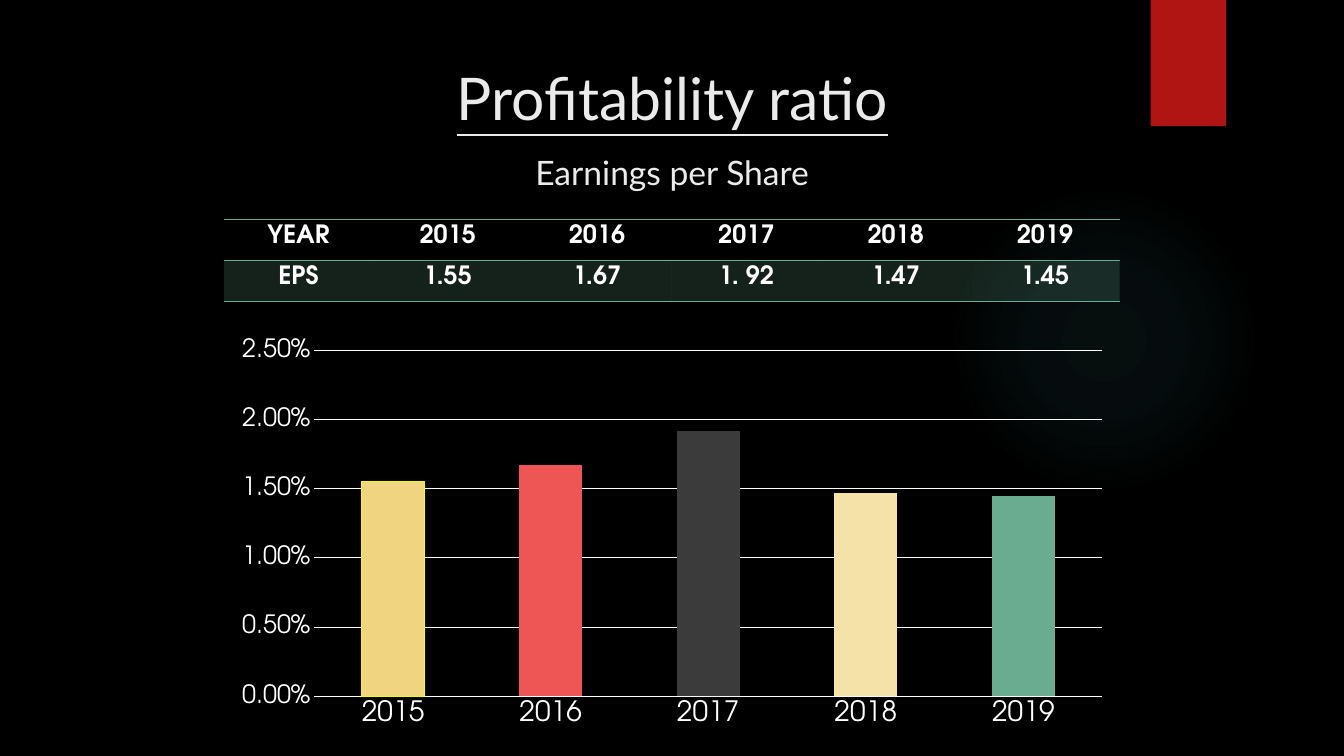
from lxml import etree
from pptx import Presentation
from pptx.chart.data import CategoryChartData
from pptx.dml.color import RGBColor
from pptx.enum.chart import XL_CHART_TYPE, XL_TICK_MARK
from pptx.enum.shapes import MSO_SHAPE
from pptx.enum.text import MSO_ANCHOR, PP_ALIGN
from pptx.oxml import parse_xml
from pptx.oxml.ns import nsdecls, qn
from pptx.util import Cm, Pt

COLUMN = XL_CHART_TYPE.COLUMN_STACKED
NO_TICK = XL_TICK_MARK.NONE
RECT, OVAL = MSO_SHAPE.RECTANGLE, MSO_SHAPE.OVAL
TOP, CENTER = MSO_ANCHOR.TOP, PP_ALIGN.CENTER
PLAIN_TABLE = "{2D5ABB26-0587-4C30-8999-92F81FD0307C}"

TITLE = "Profitability ratio"
SUBTITLE = "Earnings per Share"
YEARS = ["2015", "2016", "2017", "2018", "2019"]
ROWS = [["YEAR", *YEARS],
        ["EPS", "1.55", "1.67", "1. 92", "1.47", "1.45"]]
SERIES = {"Series 1": [0.0155, 0.0167, 0.0192, 0.0147, 0.0145],
          "Series 2": [None] * len(YEARS),
          "Series 3": [None] * len(YEARS)}

THEME = {
    "back": "000000", "title": "EBEBEB", "text": "FFFFFF",
    "tab": "B01513", "accent": "6AAC90", "outline": "FFFF00",
    "series": ["B01513", "EA6312", "E6B729"],
    "bars": ["F0D47F", "ED5654", "3B3B3B", "F5E2A9", "6AAC90"],
    "glow": "50B9C1", "glow_stops": [(0, 7), (36, 6), (69, 0)],
    "title_font": "Lato", "font": "TeX Gyre Adventor",
    "title_pt": 42, "subtitle_pt": 24, "table_pt": 18,
    "value_pt": 18, "year_pt": 20,
}

# left, top, width, height in cm
GLOW = (23.91, 4.65, 7.82, 7.82)
TAB = (29, 0, 1.9, 3.18)
HEADING = (3.87, 0.53, 26.14, 3.89)
TABLE = (5.64, 5.53, 22.58, 2.06)
CHART = (5.65, 8.32, 22.58, 10.19)


def rgb(name):
    return RGBColor.from_string(THEME.get(name, name))


def box(place):
    return [Cm(v) for v in place]


def set_font(font, size, color, face):
    font.size, font.name = Pt(size), THEME[face]
    font.color.rgb = rgb(color)


def set_fill(fill, color):
    fill.solid()
    fill.fore_color.rgb = rgb(color)


def add_plain_shape(slide, kind, place):
    sp = slide.shapes.add_shape(kind, *box(place))
    sp.shadow.inherit = False
    sp.line.fill.background()
    return sp


def add_glow(slide):
    sp = add_plain_shape(slide, OVAL, GLOW)
    stops = "".join(
        f'<a:gs pos="{pos * 1000}"><a:srgbClr val="{THEME["glow"]}">'
        f'<a:alpha val="{alpha * 1000}"/></a:srgbClr></a:gs>'
        for pos, alpha in THEME["glow_stops"])
    grad = parse_xml(
        f'<a:gradFill {nsdecls("a")}><a:gsLst>{stops}</a:gsLst><a:path path="circle">'
        '<a:fillToRect l="50000" t="50000" r="50000" b="50000"/></a:path></a:gradFill>')
    sp._element.spPr.find(qn("a:prstGeom")).addnext(grad)


def add_heading(slide):
    tf = slide.shapes.add_textbox(*box(HEADING)).text_frame
    tf.word_wrap, tf.vertical_anchor = True, TOP
    p = tf.paragraphs[0]
    p.alignment, p.line_spacing = CENTER, 1.5
    r = p.add_run()
    r.text = TITLE
    set_font(r.font, THEME["title_pt"], "title", "title_font")
    r.font.underline = True
    p.add_line_break()
    r = p.add_run()
    r.text = SUBTITLE
    set_font(r.font, THEME["subtitle_pt"], "title", "title_font")


def add_borders(cell, sides):
    """Draw accent lines; sides are in schema order, such as "TB"."""
    tcPr = cell._tc.get_or_add_tcPr()
    for i, side in enumerate(sides):
        tcPr.insert(i, parse_xml(
            f'<a:ln{side} {nsdecls("a")} w="12700"><a:solidFill>'
            f'<a:srgbClr val="{THEME["accent"]}"/></a:solidFill></a:ln{side}>'))


def add_eps_table(slide):
    tbl = slide.shapes.add_table(len(ROWS), len(ROWS[0]), *box(TABLE)).table
    tbl.first_row = tbl.horz_banding = False
    tbl._tbl.tblPr.find(qn("a:tableStyleId")).text = PLAIN_TABLE
    for i, row in enumerate(ROWS):
        for j, text in enumerate(row):
            cell = tbl.cell(i, j)
            cell.text = text
            p = cell.text_frame.paragraphs[0]
            p.alignment = CENTER
            set_font(p.font, THEME["table_pt"], "text", "font")
            p.font.bold = True
            if i == 0:
                cell.fill.background()
            else:
                set_fill(cell.fill, "accent")
                color = cell._tc.tcPr.find(".//" + qn("a:srgbClr"))
                etree.SubElement(color, qn("a:alpha"), val="20000")
            add_borders(cell, "TB" if i == 0 else "B")


def style_line(line, color):
    line.color.rgb = rgb(color)
    line.width = Pt(0.75)


def add_eps_chart(slide):
    data = CategoryChartData(number_format="0.00%")
    data.categories = YEARS
    for name, numbers in SERIES.items():
        data.add_series(name, numbers)
    chart = slide.shapes.add_chart(COLUMN, *box(CHART), data).chart
    chart.has_legend = chart.has_title = False
    set_font(chart.font, 10, "text", "font")

    years, values = chart.category_axis, chart.value_axis
    for axis, size in ((years, "year_pt"), (values, "value_pt")):
        axis.major_tick_mark = axis.minor_tick_mark = NO_TICK
        set_font(axis.tick_labels.font, THEME[size], "text", "font")
    style_line(years.format.line, "text")
    values.format.line.fill.background()
    values.minimum_scale, values.maximum_scale, values.major_unit = 0, 0.025, 0.005
    values.tick_labels.number_format = "0.00%"
    values.tick_labels.number_format_is_linked = False
    style_line(values.major_gridlines.format.line, "text")

    plot = chart.plots[0]
    plot.gap_width, plot.overlap, plot.vary_by_categories = 150, 100, False
    for series, color in zip(plot.series, THEME["series"]):
        set_fill(series.format.fill, color)
    points = plot.series[0].points
    for i, color in enumerate(THEME["bars"]):
        set_fill(points[i].format.fill, color)
    style_line(points[0].format.line, "outline")


def main():
    prs = Presentation()
    prs.slide_width, prs.slide_height = Cm(33.87), Cm(19.05)
    s = prs.slides.add_slide(prs.slide_layouts[6])
    set_fill(s.background.fill, "back")
    add_glow(s)
    set_fill(add_plain_shape(s, RECT, TAB).fill, "tab")
    add_heading(s)
    add_eps_table(s)
    add_eps_chart(s)
    prs.save("out.pptx")


if __name__ == "__main__":
    main()
